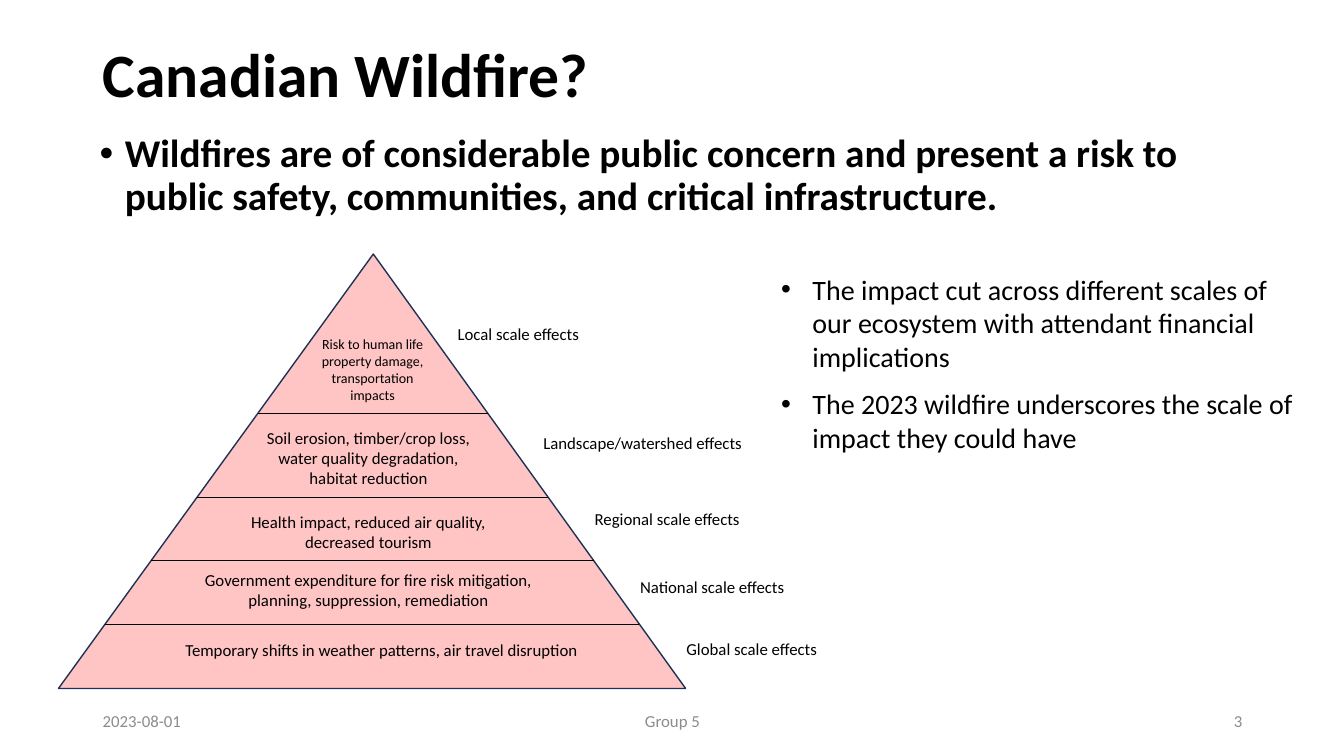
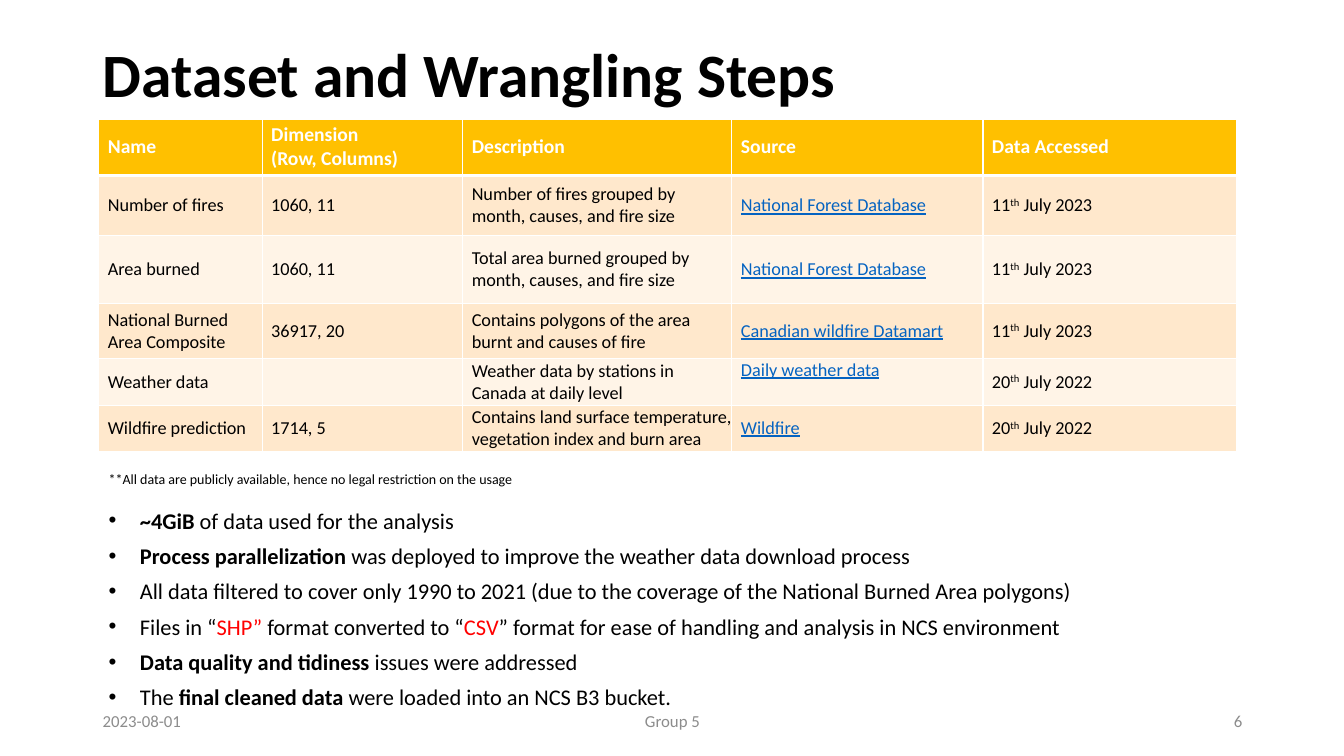
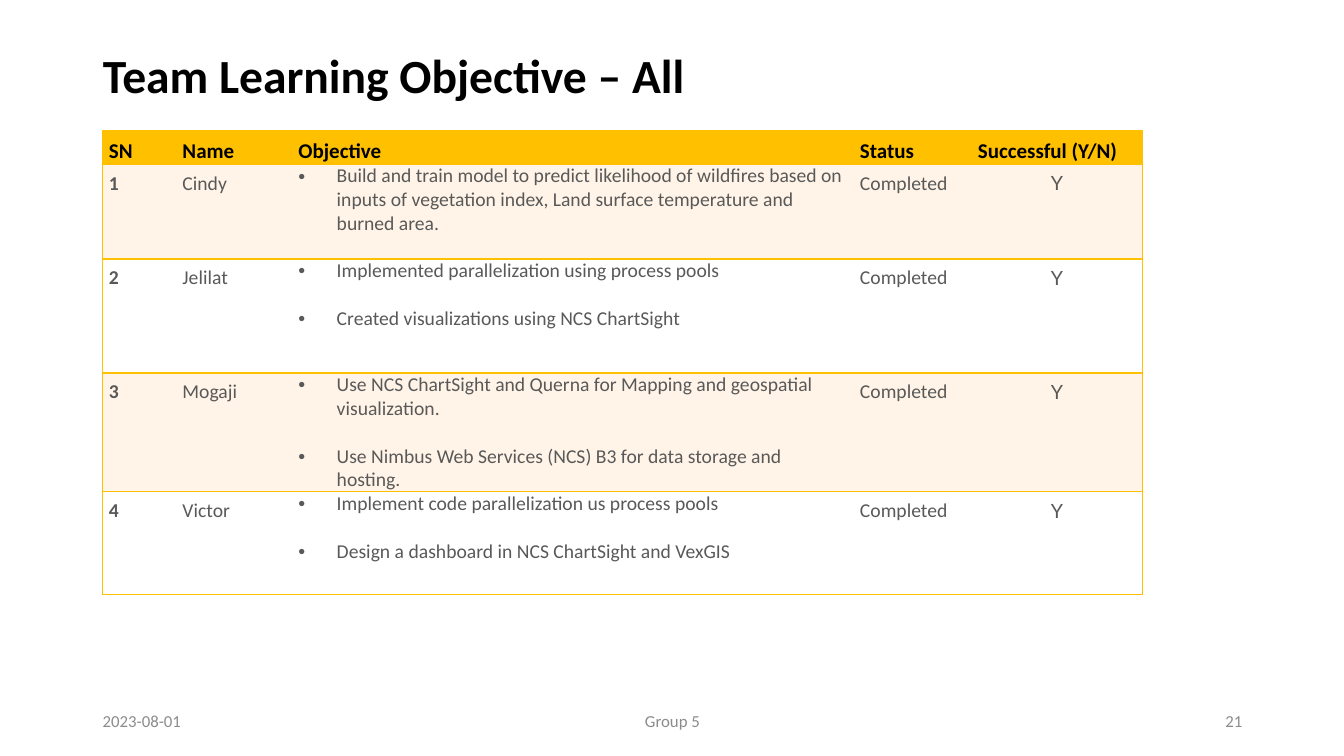
import pptx
import pptx.util
import pptx.dml.color
import pptx.enum.shapes
import pptx.enum.text
import pptx.oxml.ns
from lxml import etree

Inches = pptx.util.Inches
Pt = pptx.util.Pt
ALIGN = pptx.enum.text.PP_ALIGN
ANCHOR = pptx.enum.text.MSO_ANCHOR
qn = pptx.oxml.ns.qn

# Shared style
FONT = "Calibri"
BLACK, WHITE, GREY, RED, LINK = "000000", "FFFFFF", "8C8C8C", "FF0000", "0563C1"
GOLD, PEACH, CREAM = "FFC000", "FFE8CC", "FFF4E7"
BODY_GREY = "595959"
BOLD = {"bold": True}


def rgb(color):
    return pptx.dml.color.RGBColor.from_string(color)


# Text
def write_paragraph(paragraph, content, size, color=BLACK, bold=False, font=FONT,
                    align=ALIGN.LEFT, bullet=0, line=None, before=0, after=0):
    """Content is a string or a list of strings and (string, style) pairs."""
    paragraph.alignment = align
    paragraph.space_before, paragraph.space_after = Pt(before), Pt(after)
    if line:
        paragraph.line_spacing = line
    if bullet:
        properties = paragraph._p.get_or_add_pPr()
        properties.set("marL", str(Inches(bullet)))
        properties.set("indent", str(-Inches(bullet)))
        etree.SubElement(properties, qn("a:buFont")).set("typeface", "Arial")
        etree.SubElement(properties, qn("a:buChar")).set("char", "•")
    for piece in [content] if isinstance(content, str) else content:
        text, style = (piece, {}) if isinstance(piece, str) else piece
        run = paragraph.add_run()
        run.text = text
        run.font.name = font
        run.font.size = Pt(size)
        run.font.bold = style.get("bold", bold)
        run.font.color.rgb = rgb(style.get("color", color))
        if style.get("underline"):
            run.font.underline = True
        if style.get("superscript"):
            run.font._element.set("baseline", "30000")


def write_frame(frame, contents, gap=0, **style):
    """Write one paragraph per item, with a gap before all but the first."""
    for index, content in enumerate(contents):
        paragraph = frame.add_paragraph() if index else frame.paragraphs[0]
        write_paragraph(paragraph, content, before=gap if index else 0, **style)


def add_text(slide, left, top, width, height, contents, anchor=ANCHOR.TOP, **style):
    box = slide.shapes.add_textbox(Inches(left), Inches(top), Inches(width), Inches(height))
    box.text_frame.word_wrap = True
    box.text_frame.vertical_anchor = anchor
    write_frame(box.text_frame, contents, **style)


def add_slide(presentation, title, number, title_size=44):
    """Title-only slide with the common title and footer."""
    slide = presentation.slides.add_slide(presentation.slide_layouts[5])
    shape = slide.shapes.title
    shape.left, shape.top = Inches(0.92), Inches(0.39)
    shape.width, shape.height = Inches(11.5), Inches(0.76)
    frame = shape.text_frame
    frame.auto_size = pptx.enum.text.MSO_AUTO_SIZE.NONE
    frame.vertical_anchor = ANCHOR.MIDDLE
    write_frame(frame, [title], size=title_size, bold=True, line=0.9)

    footers = [(0.92, 3, "2023-08-01", ALIGN.LEFT),
               (4.42, 4.5, "Group 5", ALIGN.CENTER),
               (9.42, 3, str(number), ALIGN.RIGHT)]
    for left, width, text, align in footers:
        add_text(slide, left, 6.95, width, 0.4, [text], anchor=ANCHOR.MIDDLE,
                 size=12, color=GREY, align=align)
    return slide


# Shapes and tables
def add_line(slide, left, right, y):
    line = slide.shapes.add_connector(pptx.enum.shapes.MSO_CONNECTOR.STRAIGHT,
                                      Inches(left), Inches(y), Inches(right), Inches(y))
    line.line.color.rgb = rgb(BLACK)
    line.line.width = Pt(0.5)
    etree.SubElement(line._element.spPr, qn("a:effectLst"))


def add_table(slide, left, top, columns, rows):
    table = slide.shapes.add_table(len(rows), len(columns), Inches(left), Inches(top),
                                   Inches(sum(columns)), Inches(sum(rows))).table
    for column, width in zip(table.columns, columns):
        column.width = Inches(width)
    for row, height in zip(table.rows, rows):
        row.height = Inches(height)
    return table


def format_cell(cell, fill, borders, margins, anchor):
    """Borders are (colour, points) or None, in the order left, right, top, bottom."""
    cell.fill.solid()
    cell.fill.fore_color.rgb = rgb(fill)
    cell.margin_left, cell.margin_right = (Inches(margin) for margin in margins)
    cell.margin_top = cell.margin_bottom = 0
    cell.vertical_anchor = anchor
    properties = cell._tc.get_or_add_tcPr()
    for index, (side, border) in enumerate(zip("LRTB", borders)):
        line = etree.Element(qn(f"a:ln{side}"))
        if border:
            color, points = border
            line.set("w", str(Pt(points)))
            solid = etree.SubElement(line, qn("a:solidFill"))
            etree.SubElement(solid, qn("a:srgbClr")).set("val", color)
        else:
            etree.SubElement(line, qn("a:noFill"))
        properties.insert(index, line)


# Slide: wildfire impact pyramid
def add_pyramid(slide):
    left, top, width, height, apex = 0.58, 2.52, 6.22, 4.31, 0.502
    pyramid = slide.shapes.add_shape(pptx.enum.shapes.MSO_SHAPE.ISOSCELES_TRIANGLE,
                                     Inches(left), Inches(top), Inches(width), Inches(height))
    pyramid.adjustments[0] = apex
    pyramid.shadow.inherit = False
    pyramid.fill.solid()
    pyramid.fill.fore_color.rgb = rgb("FFC5C5")
    pyramid.line.color.rgb = rgb("1E3256")
    pyramid.line.width = Pt(1)

    # Dividers reach from edge to edge of the triangle
    for y in (4.1, 4.93, 5.56, 6.19):
        share = (y - top) / height
        start = left + width * apex * (1 - share)
        add_line(slide, start, start + width * share, y)

    levels = [
        (3.04, 3.28, 1.31, 0.77, 10, "Risk to human life property damage, transportation impacts"),
        (2.44, 4.19, 2.43, 0.71, 12,
         "Soil erosion, timber/crop loss, water quality degradation, habitat reduction"),
        (2.19, 5.03, 2.93, 0.5, 12, "Health impact, reduced air quality, decreased tourism"),
        (1.89, 5.6, 3.53, 0.5, 12,
         "Government expenditure for fire risk mitigation, planning, suppression, remediation"),
        (1.69, 6.3, 4.19, 0.3, 12, "Temporary shifts in weather patterns, air travel disruption"),
    ]
    for x, y, level_width, level_height, size, text in levels:
        add_text(slide, x, y, level_width, level_height, [text], size=size, align=ALIGN.CENTER)

    scales = [
        (4.44, 3.16, 1.43, "Local scale effects"),
        (5.29, 4.24, 2.2, "Landscape/watershed effects"),
        (5.8, 5, 1.66, "Regional scale effects"),
        (6.25, 5.67, 1.66, "National scale effects"),
        (6.71, 6.29, 1.56, "Global scale effects"),
    ]
    for x, y, label_width, text in scales:
        add_text(slide, x, y, label_width, 0.3, [text], size=12)


def build_wildfire(presentation):
    slide = add_slide(presentation, "Canadian Wildfire?", 3)
    add_text(slide, 0.89, 1.28, 11.5, 1.09,
             ["Wildfires are of considerable public concern and present a risk to public safety, "
              "communities, and critical infrastructure."],
             size=28, bold=True, bullet=0.25, line=0.9)
    add_pyramid(slide)
    add_text(slide, 7.65, 2.65, 5.36, 1.92,
             ["The impact cut across different scales of our ecosystem with attendant "
              "financial implications",
              "The 2023 wildfire underscores the scale of impact they could have"],
             size=20, bullet=0.31, after=10)


# Slide: datasets
def build_datasets(presentation):
    slide = add_slide(presentation, "Dataset and Wrangling Steps", 6)
    headers = [["Name"], ["Dimension", "(Row, Columns)"], ["Description"], ["Source"],
               ["Data Accessed"]]
    datasets = [
        ("Number of fires", "1060, 11", "Number of fires grouped by month, causes, and fire size",
         "National Forest Database", "11", "July 2023"),
        ("Area burned", "1060, 11", "Total area burned grouped by month, causes, and fire size",
         "National Forest Database", "11", "July 2023"),
        ("National Burned Area Composite", "36917, 20",
         "Contains polygons of the area burnt and causes of fire",
         "Canadian wildfire Datamart", "11", "July 2023"),
        ("Weather data", "", "Weather data by stations in Canada at daily level",
         "Daily weather data", "20", "July 2022"),
        ("Wildfire prediction", "1714, 5",
         "Contains land surface temperature, vegetation index and burn area",
         "Wildfire", "20", "July 2022"),
    ]
    rows = [headers]
    for name, dimension, description, source, day, month in datasets:
        rows.append([[name], [dimension] if dimension else [], [description],
                     [[(source, {"color": LINK, "underline": True})]],
                     [[day, ("th", {"superscript": True}), f" {month}"]]])

    table = add_table(slide, 0.98, 1.18, [1.62, 1.99, 2.67, 2.49, 2.52],
                      [0.56, 0.6, 0.67, 0.55, 0.46, 0.46])
    thin, thick = (WHITE, 1), (WHITE, 3)
    for row, contents in enumerate(rows):
        header = row == 0
        fill = GOLD if header else PEACH if row % 2 else CREAM
        borders = [thin, thin, thick if row == 1 else thin, thick if header else thin]
        for column, paragraphs in enumerate(contents):
            cell = table.cell(row, column)
            at_top = (row, column) == (4, 3)
            format_cell(cell, fill, borders, (0.09, 0), ANCHOR.TOP if at_top else ANCHOR.MIDDLE)
            write_frame(cell.text_frame, paragraphs, size=14 if header else 13,
                        color=WHITE if header else BLACK, bold=header)

    red = {"color": RED}
    add_text(slide, 0.98, 4.98, 12.01, 2.14, [
        [("~4GiB", BOLD), " of data used for the analysis"],
        [("Process parallelization", BOLD),
         " was deployed to improve the weather data download process"],
        "All data filtered to cover only 1990 to 2021 "
        "(due to the coverage of the National Burned Area polygons)",
        ["Files in “", ("SHP”", red), " format converted to “", ("CSV", red),
         "” format for ease of handling and analysis in NCS environment"],
        [("Data quality and tidiness", BOLD), " issues were addressed"],
        ["The ", ("final cleaned data", BOLD), " were loaded into an NCS B3 bucket."],
    ], size=16, bullet=0.31, after=6)
    add_text(slide, 0.98, 4.62, 6.43, 0.27,
             ["**All data are publicly available, hence no legal restriction on the usage"], size=10)


# Slide: learning objectives
def build_objectives(presentation):
    slide = add_slide(presentation, "Team Learning Objective – All", 21, title_size=34)
    headers = ["SN", "Name", "Objective", "Status", "Successful (Y/N)"]
    members = [
        ("Cindy", ["Build and train model to predict likelihood of wildfires based on inputs of "
                   "vegetation index, Land surface temperature and burned area."]),
        ("Jelilat", ["Implemented parallelization using process pools",
                     "Created visualizations using NCS ChartSight"]),
        ("Mogaji", ["Use NCS ChartSight and Querna for Mapping and geospatial visualization.",
                    "Use Nimbus Web Services (NCS) B3 for data storage and hosting."]),
        ("Victor", ["Implement code parallelization us process pools",
                    "Design a dashboard in NCS ChartSight and VexGIS"]),
    ]
    rows = [[[header] for header in headers]]
    for number, (name, objectives) in enumerate(members, 1):
        rows.append([[str(number)], [name], objectives, ["Completed"], ["Y"]])

    table = add_table(slide, 1.02, 1.3, [0.73, 1.15, 5.57, 1.17, 1.69],
                      [0.33, 0.94, 1.13, 1.18, 1.02])
    gold = (GOLD, 1)
    column_styles = [{"bold": True, "line": 1.3}, {"line": 1.3}, {"bullet": 0.38, "gap": 17},
                     {"line": 1.3}, {"line": 1.3, "font": "Lato", "align": ALIGN.CENTER}]
    for row, contents in enumerate(rows):
        fill = GOLD if row == 0 else CREAM if row % 2 else WHITE
        for column, paragraphs in enumerate(contents):
            cell = table.cell(row, column)
            borders = [gold if column == 0 else None,
                       gold if column == len(headers) - 1 else None, gold, gold]
            format_cell(cell, fill, borders, (0.06, 0.06), ANCHOR.TOP)
            if row == 0:
                write_frame(cell.text_frame, paragraphs, size=15, bold=True, line=1.3)
            else:
                write_frame(cell.text_frame, paragraphs, size=14, color=BODY_GREY,
                            **column_styles[column])


def main():
    presentation = pptx.Presentation()
    presentation.slide_width, presentation.slide_height = Inches(13.33), Inches(7.5)
    build_wildfire(presentation)
    build_datasets(presentation)
    build_objectives(presentation)
    presentation.save("out.pptx")


if __name__ == "__main__":
    main()
